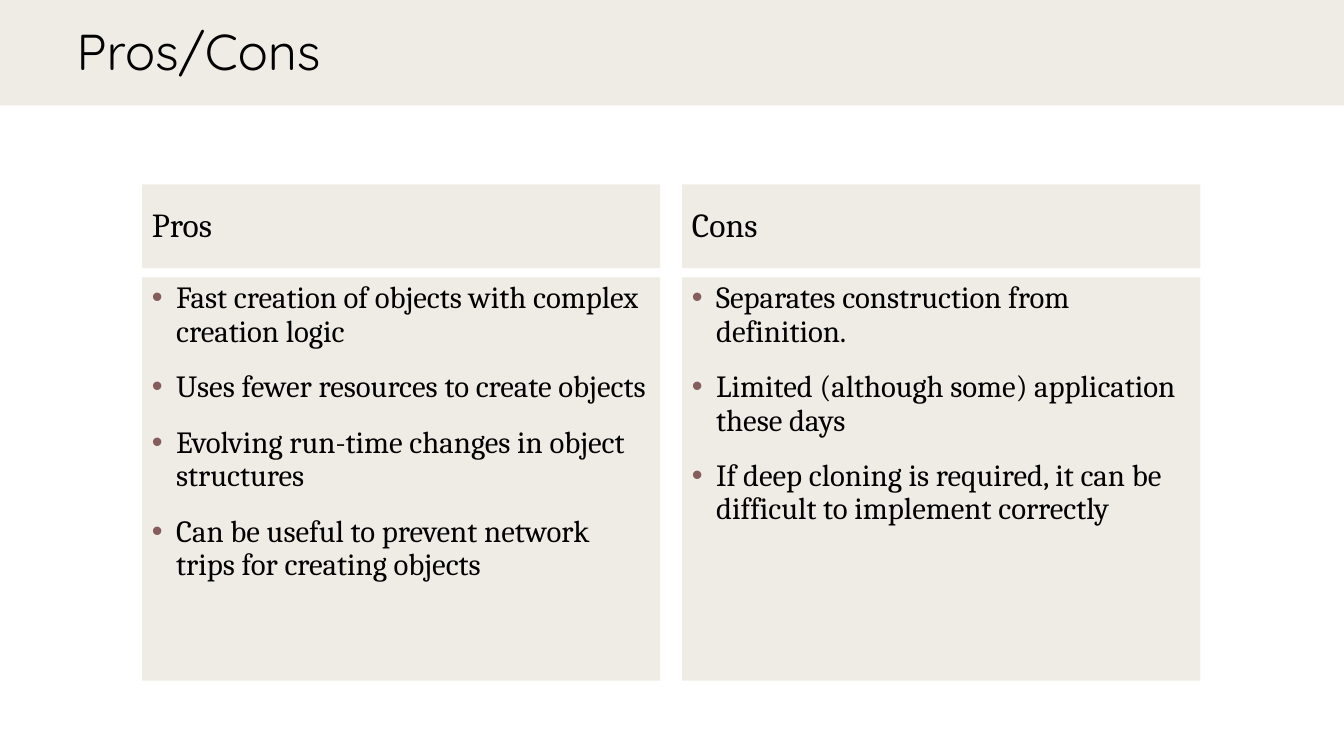
from dataclasses import dataclass

from lxml import etree
from pptx import Presentation
from pptx.dml.color import RGBColor
from pptx.enum.shapes import MSO_SHAPE
from pptx.enum.text import MSO_ANCHOR, MSO_AUTO_SIZE, PP_ALIGN
from pptx.oxml.ns import qn
from pptx.shapes.autoshape import Shape
from pptx.slide import Slide
from pptx.text.text import TextFrame
from pptx.util import Cm, Pt

RECT = MSO_SHAPE.RECTANGLE
LEFT = PP_ALIGN.LEFT
MIDDLE, TOP = MSO_ANCHOR.MIDDLE, MSO_ANCHOR.TOP
FIXED = MSO_AUTO_SIZE.NONE

BLACK = RGBColor(0x00, 0x00, 0x00)
SAND = RGBColor(0xE9, 0xE5, 0xDC)
ROSE = RGBColor(0x85, 0x5D, 0x5D)

WIDE, BAND = 33.87, 2.74
EDGE, STEP, WIDTH = 3.58, 13.61, 13.06

TITLE = {"name": "Quicksand", "size": Pt(36)}
HEAD = {"name": "Cambria", "size": Pt(24)}
ITEM = {"name": "Cambria", "size": Pt(22)}


@dataclass
class Column:
    head: str
    items: list[str]


COLUMNS = [
    Column("Pros", [
        "Fast creation of objects with complex creation logic",
        "Uses fewer resources to create objects",
        "Evolving run-time changes in object structures",
        "Can be useful to prevent network trips for creating objects",
    ]),
    Column("Cons", [
        "Separates construction from definition.",
        "Limited (although some) application these days",
        "If deep cloning is required, it can be difficult to implement correctly",
    ]),
]


def add_panel(slide: Slide, left: float, top: float, width: float, height: float) -> Shape:
    panel = slide.shapes.add_shape(RECT, Cm(left), Cm(top), Cm(width), Cm(height))
    panel.shadow.inherit = False
    panel.line.fill.background()
    panel.fill.solid()
    panel.fill.fore_color.rgb = SAND
    color = panel.fill._xPr.find(qn("a:solidFill"))[0]
    etree.SubElement(color, qn("a:alpha"), val="70000")
    return panel


def write(frame: TextFrame, lines: list[str], style: dict, anchor: MSO_ANCHOR) -> None:
    frame.text = "\n".join(lines)
    frame.word_wrap = True
    frame.auto_size = FIXED
    frame.vertical_anchor = anchor
    for para in frame.paragraphs:
        para.alignment = LEFT
        para.line_spacing = 0.9
        font = para.runs[0].font
        font.color.rgb = BLACK
        for key, value in style.items():
            setattr(font, key, value)


def add_dots(frame: TextFrame) -> None:
    for para in frame.paragraphs:
        para.space_before = Pt(16)
        props = para._p.get_or_add_pPr()
        props.set("marL", str(Cm(0.61)))
        props.set("indent", str(-Cm(0.63)))
        color = etree.SubElement(props, qn("a:buClr"))
        etree.SubElement(color, qn("a:srgbClr"), val=str(ROSE))
        etree.SubElement(props, qn("a:buFont"), typeface="Arial")
        etree.SubElement(props, qn("a:buChar"), char="•")


def add_column(slide: Slide, left: float, column: Column) -> None:
    head = add_panel(slide, left, 4.65, WIDTH, 2.11)
    write(head.text_frame, [column.head], HEAD, MIDDLE)
    body = add_panel(slide, left, 6.99, WIDTH, 10.16)
    write(body.text_frame, column.items, ITEM, TOP)
    add_dots(body.text_frame)


def main() -> None:
    deck = Presentation()
    deck.slide_width, deck.slide_height = Cm(WIDE), Cm(19.05)
    slide = deck.slides.add_slide(deck.slide_layouts[5])

    band = add_panel(slide, 0, -0.08, WIDE, BAND)
    title = slide.shapes.title
    band._element.addnext(title._element)
    title.left, title.top = Cm(1.68), Cm(0)
    title.width, title.height = Cm(32.16), Cm(BAND)
    write(title.text_frame, ["Pros/Cons"], TITLE, MIDDLE)

    for index, column in enumerate(COLUMNS):
        add_column(slide, EDGE + index * STEP, column)
    deck.save("out.pptx")


if __name__ == "__main__":
    main()
